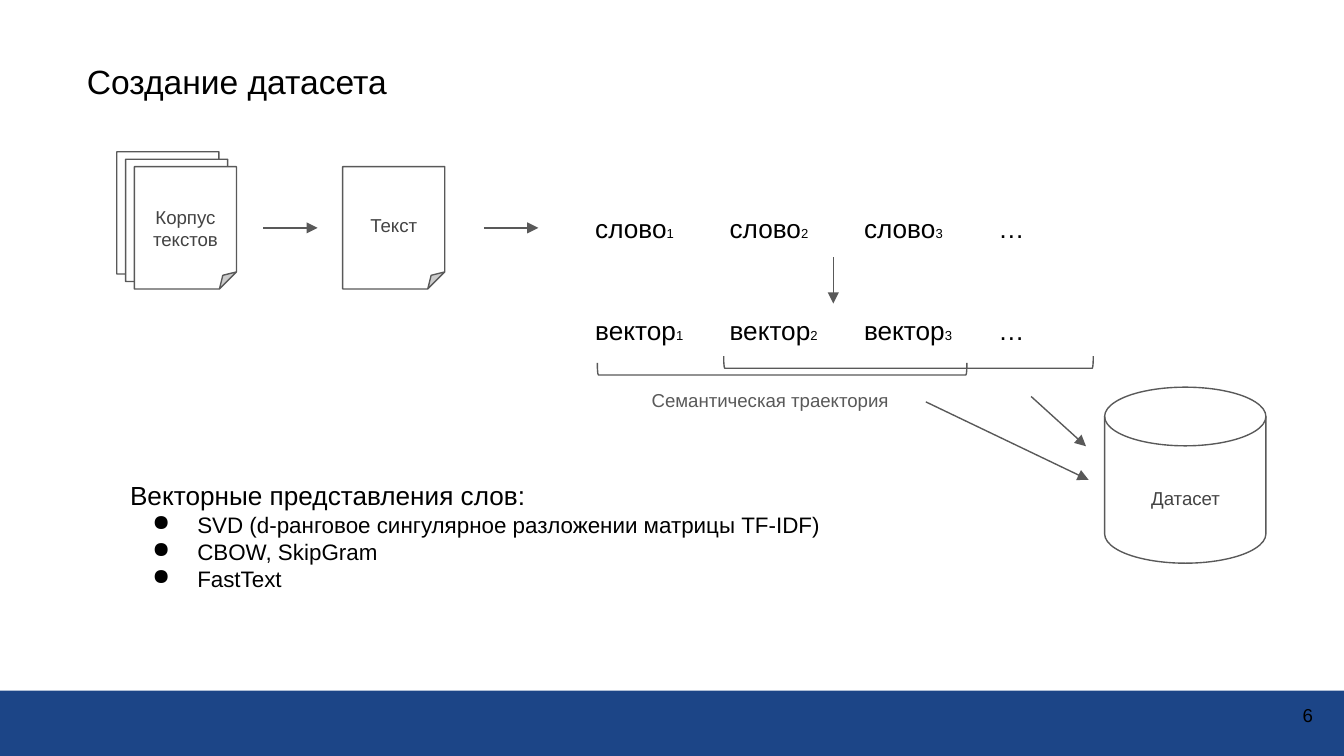
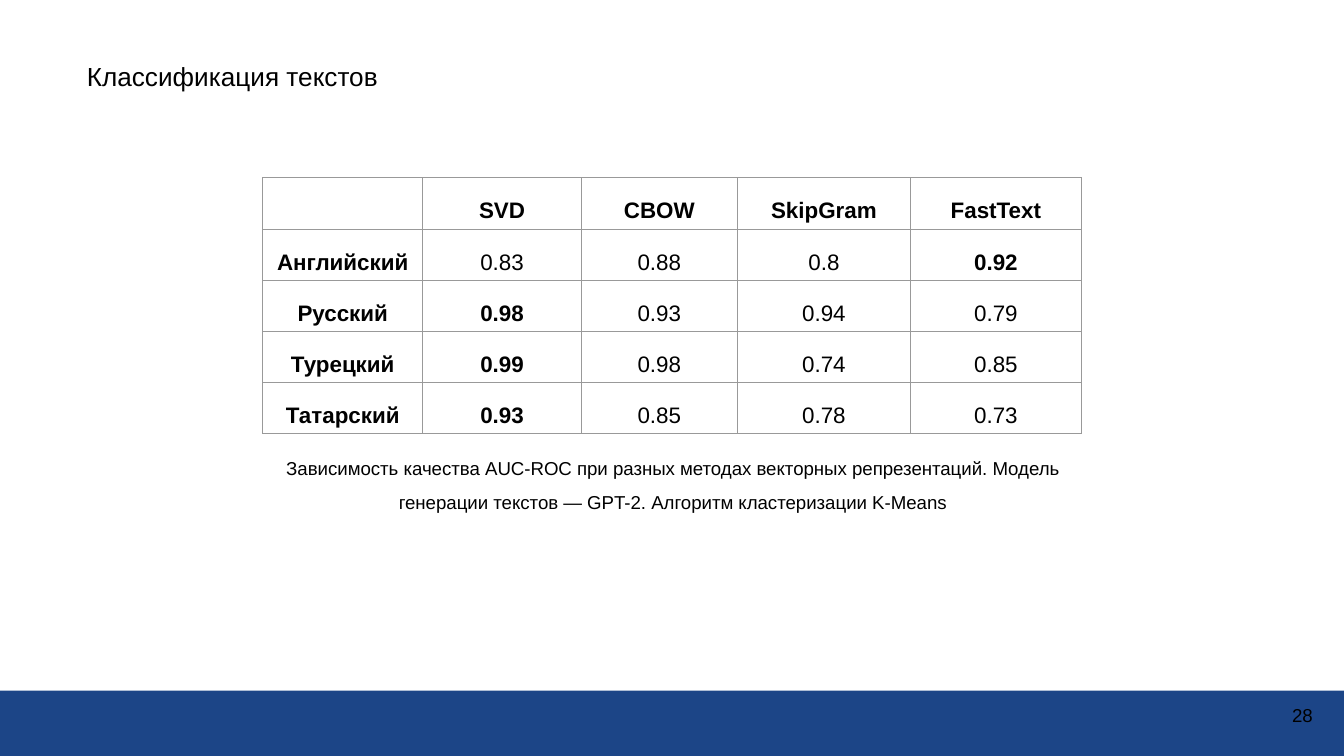
import lxml.etree
import pptx
import pptx.dml.color
import pptx.enum.shapes
import pptx.enum.text
import pptx.oxml
import pptx.oxml.ns
import pptx.util

Pt = pptx.util.Pt
SHAPES = pptx.enum.shapes.MSO_SHAPE
ALIGN = pptx.enum.text.PP_ALIGN
ANCHOR = pptx.enum.text.MSO_ANCHOR

FONT = "Arial"
BLACK = "000000"
WHITE = "FFFFFF"
BAND = "1C4587"
OUTLINE = "595959"
LABEL = "434343"
GRID = "999999"
PAGE_WIDTH, PAGE_HEIGHT = 720, 405
BAND_HEIGHT = 35
SHEET_WIDTH, SHEET_HEIGHT = 54.7, 65.5


def color(value):
    return pptx.dml.color.RGBColor.from_string(value)


def add_xml(parent, tag, **attributes):
    return lxml.etree.SubElement(parent, pptx.oxml.ns.qn(tag), attributes)


def style_para(para, size, ink=BLACK, align=ALIGN.LEFT, bold=False, spacing=None):
    para.alignment = align
    if spacing:
        para.line_spacing = spacing
    para.font.name = FONT
    para.font.size = Pt(size)
    para.font.bold = bold
    para.font.color.rgb = color(ink)


def add_text(page, box, text, size, anchor=ANCHOR.TOP, **style):
    frame = page.shapes.add_textbox(*map(Pt, box)).text_frame
    frame.word_wrap = True
    frame.vertical_anchor = anchor
    frame.margin_left = frame.margin_right = Pt(7.2)
    frame.margin_top = frame.margin_bottom = Pt(7.2)
    para = frame.paragraphs[0]
    para.text = text
    style_para(para, size, **style)
    return frame


def add_figure(page, kind, box, fill=WHITE, line=OUTLINE):
    figure = page.shapes.add_shape(kind, *map(Pt, box))
    figure.shadow.inherit = False
    if fill:
        figure.fill.solid()
        figure.fill.fore_color.rgb = color(fill)
    else:
        figure.fill.background()
    if line:
        figure.line.color.rgb = color(line)
        figure.line.width = Pt(0.75)
    else:
        figure.line.fill.background()
    return figure


def add_arrow(page, start, end):
    arrow = page.shapes.add_connector(
        pptx.enum.shapes.MSO_CONNECTOR.STRAIGHT, *map(Pt, (*start, *end)))
    arrow.line.color.rgb = color(OUTLINE)
    arrow.line.width = Pt(0.75)
    add_xml(arrow.line._get_or_add_ln(), "a:tailEnd", type="triangle")
    add_xml(arrow._element.spPr, "a:effectLst")


def add_bullet(para):
    properties = para._p.get_or_add_pPr()
    properties.set("marL", str(Pt(36)))
    properties.set("indent", str(-Pt(24)))
    ink = pptx.oxml.ns.qn("a:buClr")
    bullet_color = lxml.etree.Element(ink)
    add_xml(bullet_color, "a:srgbClr", val=BLACK)
    bullet = lxml.etree.Element(pptx.oxml.ns.qn("a:buChar"), char="●")
    properties.insert(0, bullet_color)
    properties.insert(1, bullet)


def add_page(deck, title, title_size, number):
    page = deck.slides.add_slide(deck.slide_layouts[6])
    top = PAGE_HEIGHT - BAND_HEIGHT
    add_figure(page, SHAPES.RECTANGLE, (0, top, PAGE_WIDTH, BAND_HEIGHT), BAND, None)
    add_text(page, (667.2, top - 2.6, 43.2, 31), str(number), 10,
             anchor=ANCHOR.MIDDLE, align=ALIGN.RIGHT)
    add_text(page, (39.5, 25.2, 609, 36), title, title_size)
    return page


def draw_sheets(page, left, top, count, text, text_drop, text_height):
    for layer in reversed(range(count)):
        add_figure(page, SHAPES.FOLDED_CORNER,
                   (left - 4.7 * layer, top - 4 * layer, SHEET_WIDTH, SHEET_HEIGHT))
    add_text(page, (left, top + text_drop, SHEET_WIDTH, text_height), text, 10,
             ink=LABEL, align=ALIGN.CENTER)


def draw_sources(page, left, top):
    draw_sheets(page, left, top, 3, "Корпус текстов", 13.7, 39)
    draw_sheets(page, left + 111.6, top, 1, "Текст", 19.4, 27)
    for start in (69, 187.2):
        add_arrow(page, (left + start, top + 32.8), (left + start + 29.2, top + 32.8))


def draw_terms(page, box, word):
    para = add_text(page, box, "", 14).paragraphs[0]
    for index in range(1, 4):
        para.add_run().text = word
        span = para.add_run()
        span.text = f"{index}\t"
        span.font.size = Pt(7)
    para.add_run().text = "…"


def draw_bracket(page, left, top, width, height):
    shift = (width - height) / 2
    bracket = add_figure(page, SHAPES.LEFT_BRACKET,
                         (left + shift, top - shift, height, width), fill=None)
    bracket.rotation = 270


def draw_sequence(page, left, top):
    for drop, word in ((0, "слово"), (54.7, "вектор")):
        draw_terms(page, (left, top + drop, 307.4, 31.7), word)
    add_arrow(page, (left + 134.6, top + 31.2), (left + 134.6, top + 56))
    draw_bracket(page, left + 8.2, top + 87.8, 198, 6.5)
    draw_bracket(page, left + 75.9, top + 84.2, 198, 6.5)
    add_text(page, (left + 30.2, top + 95.7, 154, 26.6),
             "Семантическая траектория", 10, ink=OUTLINE)


def draw_dataset(page, left, top):
    add_figure(page, SHAPES.FLOWCHART_MAGNETIC_DISK, (left, top, 86.4, 94.3))
    add_text(page, (left + 8, top + 47.5, 70.6, 26.6), "Датасет", 10,
             ink=LABEL, align=ALIGN.CENTER)
    add_arrow(page, (left - 95.8, top + 7.9), (left - 8.6, top + 49.7))
    add_arrow(page, (left - 39.4, top + 5), (left - 10, top + 31.7))


def draw_methods(page, box):
    frame = add_text(page, box, "Векторные представления слов:", 14)
    for text in ("SVD (d-ранговое сингулярное разложении матрицы TF-IDF)",
                 "CBOW, SkipGram", "FastText"):
        para = frame.add_paragraph()
        para.text = text
        style_para(para, 12)
        add_bullet(para)


def add_borders(cell):
    properties = cell._tc.get_or_add_tcPr()
    for side in ("a:lnL", "a:lnR", "a:lnT", "a:lnB"):
        line = add_xml(properties, side, w=str(Pt(0.5)))
        add_xml(add_xml(line, "a:solidFill"), "a:srgbClr", val=GRID)


def fill_cell(cell, text, bold):
    cell.margin_left = cell.margin_right = Pt(2.9)
    cell.margin_top = cell.margin_bottom = Pt(2.9)
    cell.vertical_anchor = ANCHOR.BOTTOM
    add_borders(cell)
    cell.fill.background()
    para = cell.text_frame.paragraphs[0]
    para.text = text
    style_para(para, 12, align=ALIGN.CENTER, bold=bold, spacing=1.5)


def draw_scores(page, left, top):
    methods = ("SVD", "CBOW", "SkipGram", "FastText")
    scores = {
        "Английский": (0.83, 0.88, 0.8, 0.92),
        "Русский": (0.98, 0.93, 0.94, 0.79),
        "Турецкий": (0.99, 0.98, 0.74, 0.85),
        "Татарский": (0.93, 0.85, 0.78, 0.73),
    }
    widths = (85.7, 85, 83.5, 92.9, 91.4)
    row_height = 25.6
    rows = len(scores) + 1
    table = page.shapes.add_table(rows, len(widths), Pt(left), Pt(top), Pt(sum(widths)),
                                  Pt(rows * row_height)).table
    table.first_row = table.horz_banding = False
    for column, width in zip(table.columns, widths):
        column.width = Pt(width)
    for row in table.rows:
        row.height = Pt(row_height)
    for column, text in enumerate(("", *methods)):
        fill_cell(table.cell(0, column), text, True)
    for row, (language, values) in enumerate(scores.items(), 1):
        fill_cell(table.cell(row, 0), language, True)
        for column, value in enumerate(values, 1):
            fill_cell(table.cell(row, column), str(value), value == max(values))


def build_dataset_page(deck):
    page = add_page(deck, "Создание датасета", 18, 6)
    draw_sources(page, 72, 89.3)
    draw_sequence(page, 311.8, 106.6)
    draw_dataset(page, 591.8, 207.4)
    draw_methods(page, (62.6, 249.8, 399.6, 74.9))


def build_scores_page(deck):
    page = add_page(deck, "Классификация текстов", 14, 28)
    draw_scores(page, 140.8, 95.3)
    add_text(page, (130.3, 231.8, 460, 44.6),
             "Зависимость качества AUC-ROC при разных методах векторных репрезентаций. "
             "Модель генерации текстов — GPT-2. Алгоритм кластеризации K-Means",
             10, align=ALIGN.CENTER, spacing=1.5)


def main():
    deck = pptx.Presentation()
    deck.slide_width = Pt(PAGE_WIDTH)
    deck.slide_height = Pt(PAGE_HEIGHT)
    build_dataset_page(deck)
    build_scores_page(deck)
    deck.save("out.pptx")


if __name__ == "__main__":
    main()
